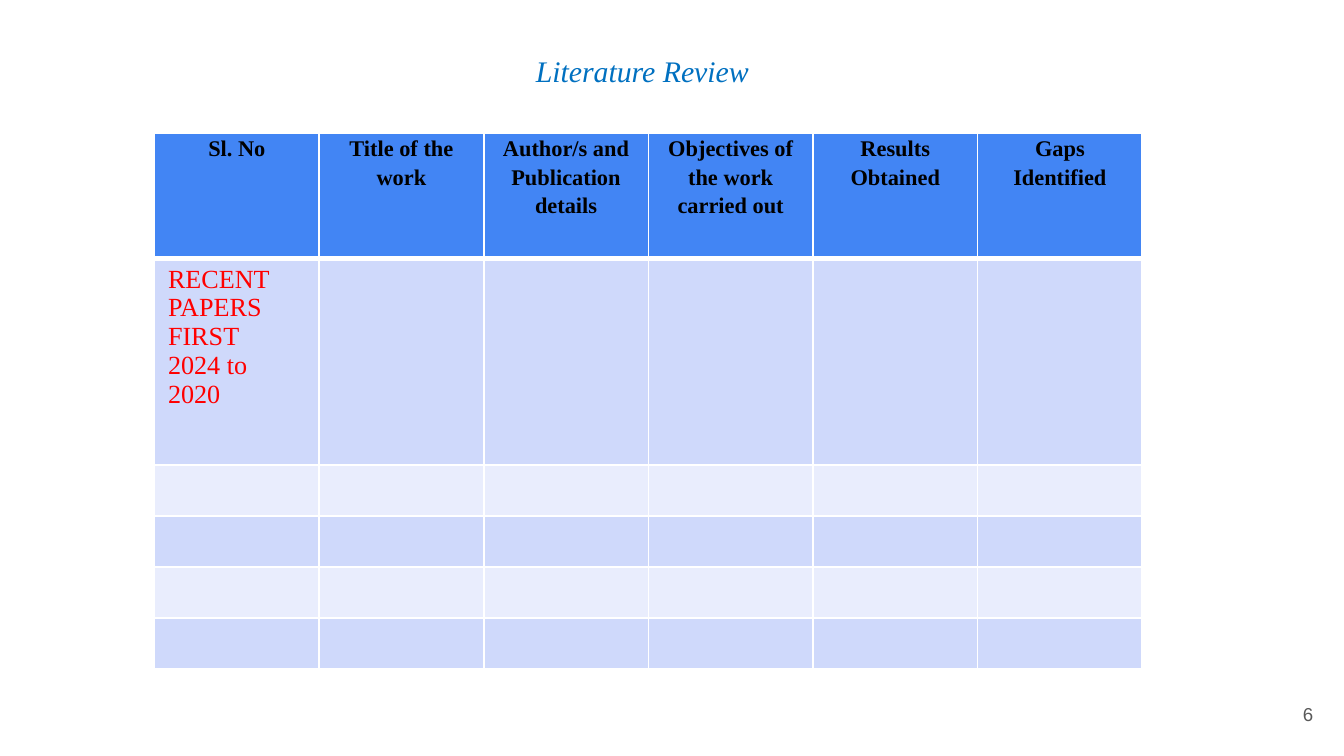
from lxml.etree import SubElement
from pptx import Presentation
from pptx.dml.color import RGBColor
from pptx.enum.text import MSO_ANCHOR, PP_ALIGN
from pptx.oxml import parse_xml
from pptx.oxml.ns import nsdecls
from pptx.util import Inches, Pt

HEADERS = ["Sl. No", "Title of the work", "Author/s and Publication details",
           "Objectives of the work carried out", "Results Obtained", "Gaps Identified"]
ROW_HEIGHTS = [0.93, 1.54] + [0.38] * 4


def rgb(value):
    return RGBColor.from_string(value)


def write(tf, text, size=12, font="Times New Roman", color="000000", bold=False,
          italic=False, align=PP_ALIGN.LEFT, spacing=None):
    """Fill a text frame, one paragraph for each line of text."""
    for i, line in enumerate(text.split("\n")):
        p = tf.add_paragraph() if i else tf.paragraphs[0]
        p.alignment = align
        p.line_spacing = spacing
        r = p.add_run()
        r.text = line
        r.font.size = Pt(size)
        r.font.name = font
        r.font.bold = bold
        r.font.italic = italic
        r.font.color.rgb = rgb(color)


class SlideBuilder:
    header_fill = "4285F4"
    band_fills = ["E9EDFD", "CFD9FB"]
    border_color = "FFFFFF"

    def __init__(self, s):
        self.s = s

    def text(self, left, top, width, height, text, anchor=MSO_ANCHOR.TOP,
             inset=0.05, **style):
        tf = self.s.shapes.add_textbox(
            Inches(left), Inches(top), Inches(width), Inches(height)).text_frame
        tf.word_wrap = True
        tf.vertical_anchor = anchor
        tf.margin_top = tf.margin_bottom = Inches(inset)
        write(tf, text, **style)

    def borders(self, cell, **widths):
        tcPr = cell._tc.get_or_add_tcPr()
        for i, side in enumerate("LRTB"):
            ln = parse_xml(f'<a:ln{side} {nsdecls("a")} w="{Pt(widths.get(side, 1))}"/>')
            fill = SubElement(ln, ln.tag.replace(f"ln{side}", "solidFill"))
            color = SubElement(fill, ln.tag.replace(f"ln{side}", "srgbClr"))
            color.set("val", self.border_color)
            tcPr.insert(i, ln)

    def table(self, left, top, width, headers, row_heights, note):
        table = self.s.shapes.add_table(
            len(row_heights), len(headers), Inches(left), Inches(top),
            Inches(width), Inches(sum(row_heights))).table
        for column in table.columns:
            column.width = Inches(width / len(headers))
        for i, height in enumerate(row_heights):
            table.rows[i].height = Inches(height)
            for j, header in enumerate(headers):
                cell = table.cell(i, j)
                cell.fill.solid()
                cell.fill.fore_color.rgb = rgb(self.band_fills[i % 2] if i else self.header_fill)
                if i == 0:
                    cell.margin_left = cell.margin_right = Inches(0.07)
                    write(cell.text_frame, header, bold=True,
                          align=PP_ALIGN.CENTER, spacing=1.15)
                if (i, j) == (1, 0):
                    write(cell.text_frame, note, size=14, color="FF0000")
                else:
                    cell.margin_top = cell.margin_bottom = 0
                self.borders(cell, B=3 if i == 0 else 1, T=3 if i == 1 else 1)


def main():
    prs = Presentation()
    prs.slide_width, prs.slide_height = Inches(10), Inches(10 * 9 / 16)
    slide = SlideBuilder(prs.slides.add_slide(prs.slide_layouts[6]))
    slide.text(9.27, 5.1, 0.6, 0.43, "6", anchor=MSO_ANCHOR.MIDDLE, inset=0.1,
               size=10, font="Arial", color="595959", align=PP_ALIGN.RIGHT)
    slide.text(2.33, 0.34, 4.9, 0.37, "Literature Review", size=16,
               color="0070C0", italic=True, align=PP_ALIGN.CENTER)
    slide.table(1.15, 0.99, 7.35, HEADERS, ROW_HEIGHTS,
                "RECENT PAPERS FIRST\n2024 to 2020")
    prs.save("out.pptx")


if __name__ == "__main__":
    main()
